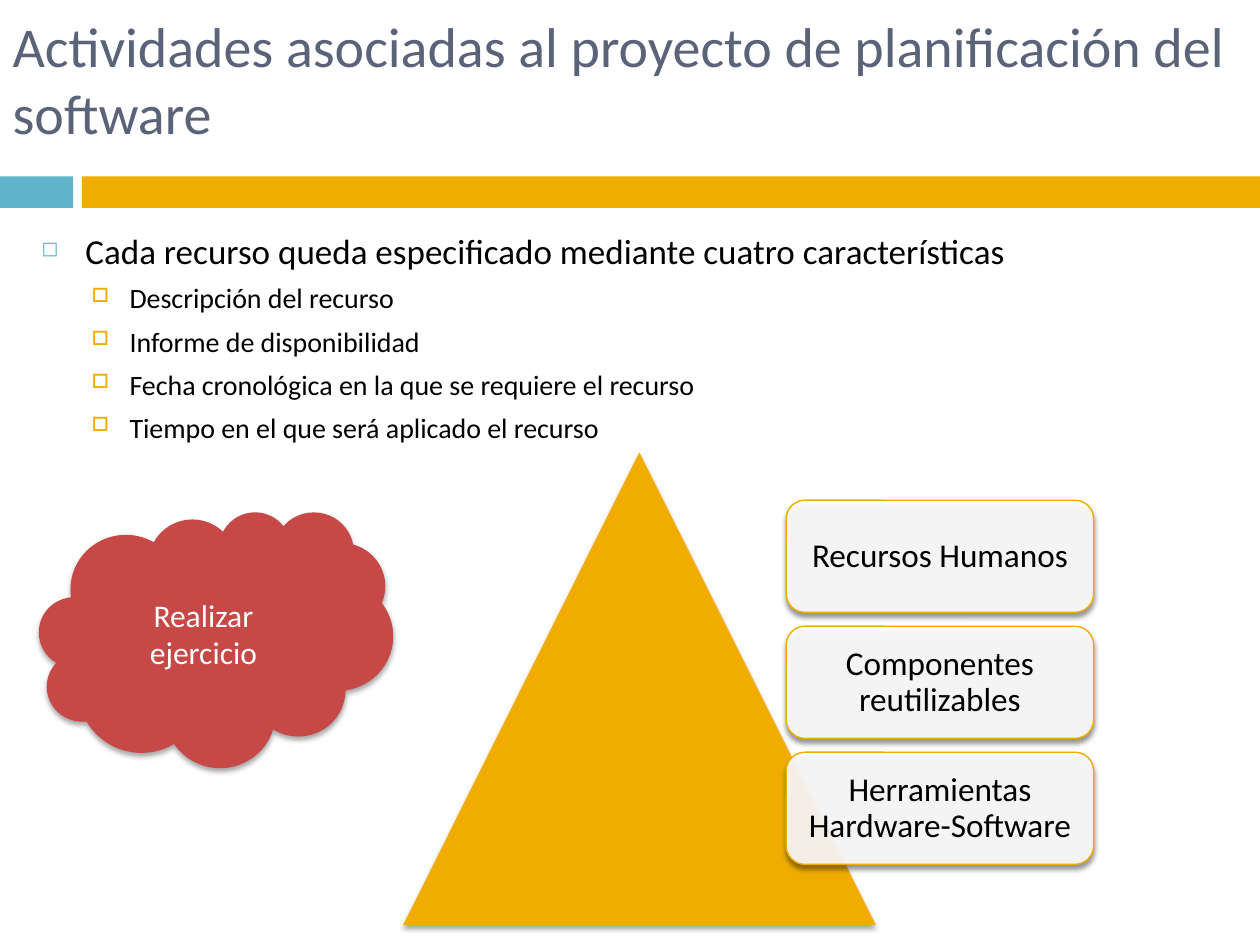
"""Build the slide on the activities of software project planning."""
from lxml import etree
from pptx import Presentation
from pptx import util as u
from pptx.dml.color import RGBColor
from pptx.enum import shapes, text
from pptx.oxml import ns

BLACK = RGBColor(0x00, 0x00, 0x00)
WHITE = RGBColor(0xFF, 0xFF, 0xFF)
SLATE = RGBColor(0x5A, 0x63, 0x78)
BLUE = RGBColor(0x60, 0xB5, 0xCC)
GOLD = RGBColor(0xF0, 0xAD, 0x00)
RED = RGBColor(0xC6, 0x48, 0x47)
FONT = "Calibri"

HEADING = "Actividades asociadas al proyecto de planificación del software"
POINTS = [
    (0, "Cada recurso queda especificado mediante cuatro características"),
    (1, "Descripción del recurso"),
    (1, "Informe de disponibilidad"),
    (1, "Fecha cronológica en la que se requiere el recurso"),
    (1, "Tiempo en el que será aplicado el recurso"),
]
LEVELS = [
    dict(size=20, before=7, left=0.35, hang=0.35, mark="◻", color=BLUE, scale=60),
    dict(size=16, before=5.5, left=0.7, hang=0.3, mark="□", color=GOLD, scale=70),
]
RESOURCES = ["Recursos Humanos", "Componentes reutilizables", "Herramientas Hardware-Software"]
EXERCISE = "Realizar ejercicio"
BARS = [((0, 1.4, 0.58, 0.25), BLUE), ((0.65, 1.4, 9.35, 0.25), GOLD)]
CARD_LEFT, CARD_TOP, CARD_WIDTH, CARD_HEIGHT, CARD_STEP = 6.24, 3.97, 2.44, 0.89, 1.0


def apply(target, values):
    for name, value in values.items():
        setattr(target, name, value)


def add_child(parent, tag, **attributes):
    child = etree.SubElement(parent, ns.qn(tag))
    for name, value in attributes.items():
        child.set(name, str(value))
    return child


def write(paragraph, words, size, color, align, **spacing):
    run = paragraph.add_run()
    run.text = words
    apply(run.font, dict(name=FONT, size=u.Pt(size)))
    run.font.color.rgb = color
    apply(paragraph, dict(alignment=align, **spacing))


def add_figure(slide, preset, box, fill, shade=None, distance=2):
    figure = slide.shapes.add_shape(preset, *map(u.Inches, box))
    figure.fill.solid()
    figure.fill.fore_color.rgb = fill
    figure.line.fill.background()
    figure.shadow.inherit = False
    if shade:
        effects = figure._element.spPr.find(ns.qn("a:effectLst"))
        shadow = add_child(effects, "a:outerShdw", blurRad=u.Pt(3), dist=u.Pt(distance),
                           dir=90 * 60000, algn="ctr", rotWithShape=0)
        add_child(add_child(shadow, "a:srgbClr", val=BLACK), "a:alpha", val=shade * 1000)
    return figure


def add_heading(slide):
    heading = slide.shapes.title
    apply(heading, dict(left=0, top=0, width=u.Inches(10), height=u.Inches(1.25)))
    apply(heading.text_frame, dict(word_wrap=True, auto_size=text.MSO_AUTO_SIZE.NONE,
                                   vertical_anchor=text.MSO_ANCHOR.MIDDLE))
    write(heading.text_frame.paragraphs[0], HEADING, 32, SLATE, text.PP_ALIGN.LEFT)


def add_points(slide):
    frame = slide.shapes.add_textbox(*map(u.Inches, (0.23, 1.77, 9.53, 1.82))).text_frame
    frame.word_wrap = True
    for index, (level, words) in enumerate(POINTS):
        paragraph = frame.add_paragraph() if index else frame.paragraphs[0]
        style = LEVELS[level]
        write(paragraph, words, style["size"], BLACK, text.PP_ALIGN.JUSTIFY,
              level=level, space_before=u.Pt(style["before"]))
        properties = paragraph._p.get_or_add_pPr()
        properties.set("marL", str(u.Inches(style["left"])))
        properties.set("indent", str(-u.Inches(style["hang"])))
        add_child(add_child(properties, "a:buClr"), "a:srgbClr", val=style["color"])
        add_child(properties, "a:buSzPct", val=style["scale"] * 1000)
        add_child(properties, "a:buChar", char=style["mark"])


def add_resources(slide):
    add_figure(slide, shapes.MSO_SHAPE.ISOSCELES_TRIANGLE, (3.2, 3.59, 3.75, 3.75), GOLD, 35)
    margins = dict.fromkeys(("margin_left", "margin_top", "margin_right", "margin_bottom"),
                            u.Inches(0.08))
    for row, words in enumerate(RESOURCES):
        box = (CARD_LEFT, CARD_TOP + row * CARD_STEP, CARD_WIDTH, CARD_HEIGHT)
        card = add_figure(slide, shapes.MSO_SHAPE.ROUNDED_RECTANGLE, box, WHITE, 45, 2.4)
        fill = card._element.spPr.find(ns.qn("a:solidFill"))
        add_child(fill[0], "a:alpha", val=90000)
        card.line.color.rgb = GOLD
        card.line.width = u.Pt(0.79)
        apply(card.text_frame, dict(word_wrap=True, vertical_anchor=text.MSO_ANCHOR.MIDDLE,
                                    **margins))
        write(card.text_frame.paragraphs[0], words, 19, BLACK, text.PP_ALIGN.CENTER,
              line_spacing=0.9)


def add_exercise(slide):
    cloud = add_figure(slide, shapes.MSO_SHAPE.CLOUD, (0.31, 4.06, 2.81, 2.03), RED, 35)
    apply(cloud.text_frame, dict(word_wrap=True, vertical_anchor=text.MSO_ANCHOR.MIDDLE))
    write(cloud.text_frame.paragraphs[0], EXERCISE, 18, WHITE, text.PP_ALIGN.CENTER)


def main():
    deck = Presentation()
    apply(deck, dict(slide_width=u.Inches(10), slide_height=u.Inches(7.5)))
    slide = deck.slides.add_slide(deck.slide_layouts[5])
    for box, color in BARS:
        add_figure(slide, shapes.MSO_SHAPE.RECTANGLE, box, color)
    add_heading(slide)
    add_points(slide)
    add_resources(slide)
    add_exercise(slide)
    deck.save("out.pptx")


if __name__ == "__main__":
    main()
